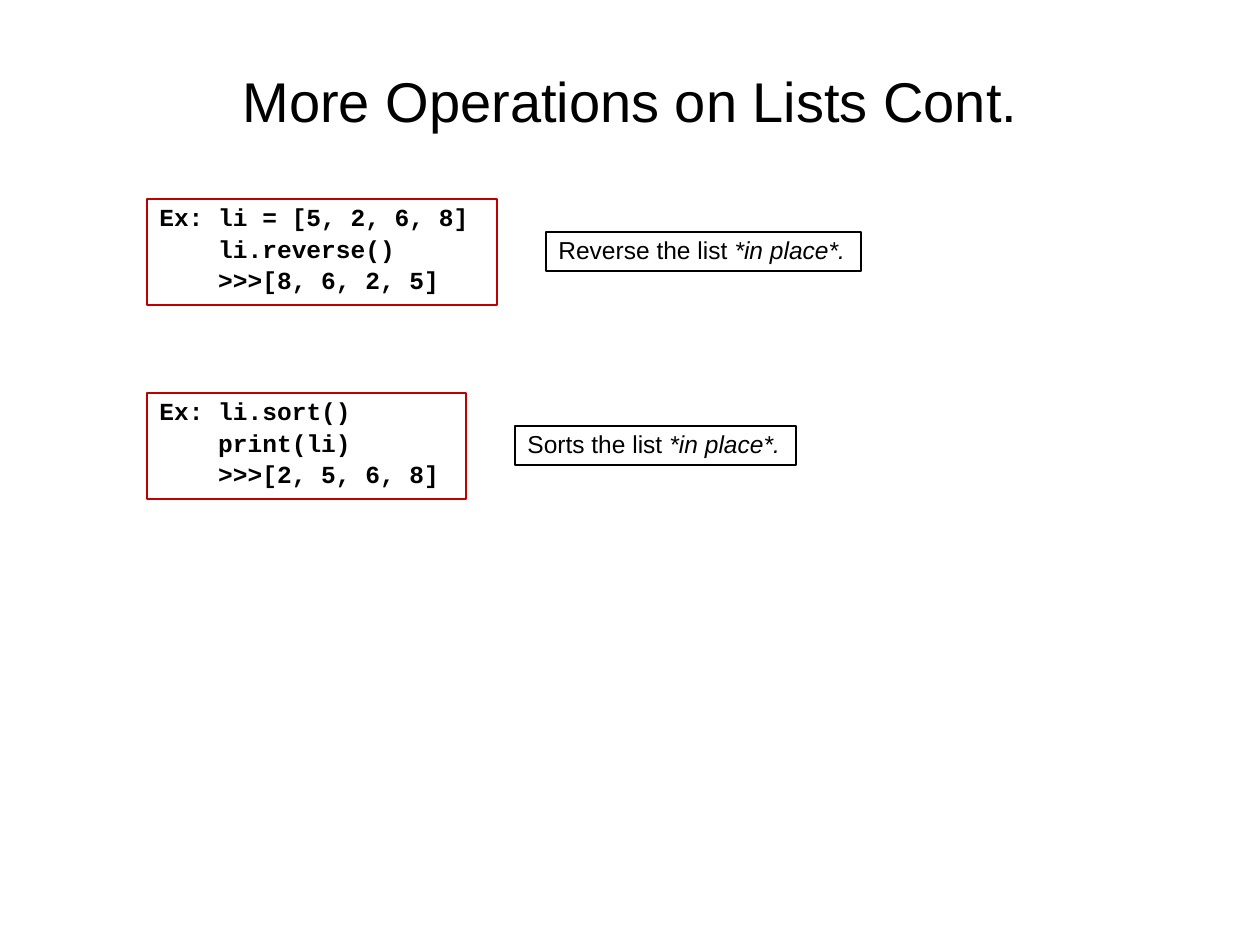
from dataclasses import dataclass

from pptx import Presentation
from pptx.dml.color import RGBColor
from pptx.enum.shapes import MSO_SHAPE as Shape
from pptx.enum.text import MSO_ANCHOR as Anchor, PP_ALIGN as Align
from pptx.util import Pt

SCALE = 914400 / 126
BLACK, RED = "000000", "C00000"
LEFT, TOP, STEP, GAP = 147, 199, 194, 49
CODE_H, NOTE_H = 106, 39
INDENT = 48


@dataclass
class Example:
    code: list[str]
    code_w: int
    note: str
    note_w: int


EXAMPLES = [
    Example(["Ex: li = [5, 2, 6, 8]", "    li.reverse()", "    >>>[8, 6, 2, 5]"],
            350, "Reverse the list ", 315),
    Example(["Ex: li.sort()", "    print(li)", "    >>>[2, 5, 6, 8]"],
            319, "Sorts the list ", 281),
]


def px(n: float) -> int:
    return round(n * SCALE)


def color(code: str) -> RGBColor:
    return RGBColor.from_string(code)


def style(font, name: str, size: int, bold: bool = False) -> None:
    font.name, font.size, font.bold = name, Pt(size), bold
    font.color.rgb = color(BLACK)


def add_box(slide, x: int, y: int, w: int, h: int, line: str):
    """Add an unfilled outlined box and return its text frame."""
    box = slide.shapes.add_shape(Shape.RECTANGLE, px(x), px(y), px(w), px(h))
    box.shadow.inherit = False
    box.fill.background()
    box.line.color.rgb = color(line)
    box.line.width = Pt(0.75)
    frame = box.text_frame
    frame.word_wrap = True
    frame.vertical_anchor = Anchor.TOP
    frame.margin_right = 0
    return frame


def add_title(slide, text: str) -> None:
    frame = slide.shapes.add_textbox(px(95), px(21), px(1071), px(158)).text_frame
    frame.word_wrap = True
    frame.vertical_anchor = Anchor.MIDDLE
    frame.text = text
    para = frame.paragraphs[0]
    para.alignment = Align.CENTER
    style(para.runs[0].font, "Arial", 32)


def add_code(slide, item: Example, y: int) -> None:
    frame = add_box(slide, LEFT, y, item.code_w, CODE_H, RED)
    frame.text = "\n".join(item.code)
    for i, para in enumerate(frame.paragraphs):
        para.alignment = Align.LEFT
        para.line_spacing = 0.9
        if i:
            para.space_before = Pt(3)
        props = para._p.get_or_add_pPr()
        props.set("marL", str(px(INDENT)))
        props.set("indent", str(-px(INDENT)))
        style(para.runs[0].font, "Courier New", 14, bold=True)


def add_note(slide, item: Example, y: int) -> None:
    """Add the note beside its code box, centred on the box's height."""
    x = LEFT + item.code_w + GAP
    frame = add_box(slide, x, y + (CODE_H - NOTE_H) // 2, item.note_w, NOTE_H, BLACK)
    para = frame.paragraphs[0]
    para.alignment = Align.LEFT
    para.line_spacing = 0.9
    for text, slant in ((item.note, False), ("*in place*.", True)):
        run = para.add_run()
        run.text = text
        style(run.font, "Arial", 14)
        run.font.italic = slant


def main() -> None:
    deck = Presentation()
    deck.slide_width, deck.slide_height = px(1260), px(945)
    slide = deck.slides.add_slide(deck.slide_layouts[6])
    add_title(slide, "More Operations on Lists Cont.")
    for row, item in enumerate(EXAMPLES):
        y = TOP + row * STEP
        add_code(slide, item, y)
        add_note(slide, item, y)
    deck.save("out.pptx")


if __name__ == "__main__":
    main()
